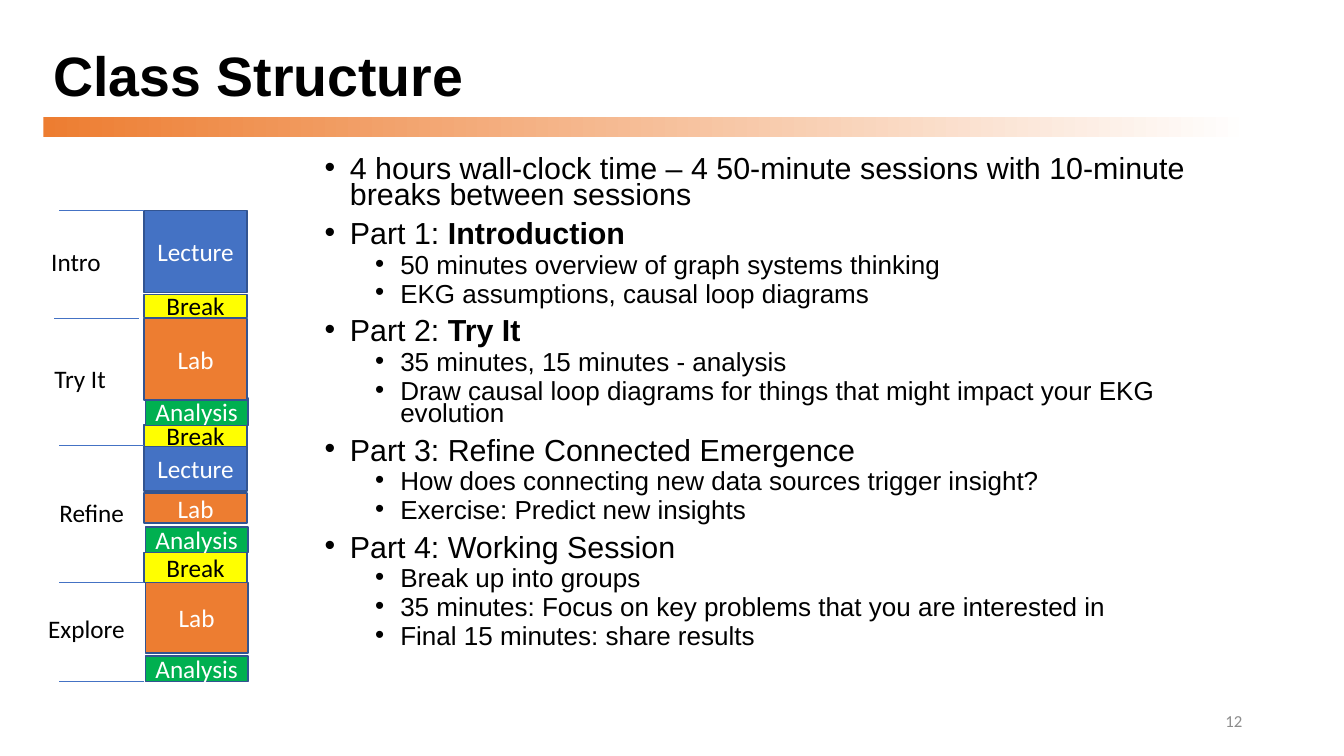
from pptx import Presentation
from pptx.dml.color import RGBColor
from pptx.enum.shapes import MSO_CONNECTOR as CONNECTOR, MSO_SHAPE as SHAPE
from pptx.enum.text import MSO_ANCHOR as ANCHOR, MSO_AUTO_SIZE as AUTO_SIZE, PP_ALIGN as ALIGN
from pptx.oxml.ns import qn
from pptx.util import Inches, Pt
from lxml.etree import SubElement


def color(hex_code):
    return RGBColor.from_string(hex_code)


def add_run(para, text, size, font="Calibri", hex_code="000000", bold=False):
    run = para.add_run()
    run.text = text
    run.font.size = Pt(size)
    run.font.name = font
    run.font.bold = bold
    run.font.color.rgb = color(hex_code)


deck = Presentation()
deck.slide_width = Inches(13.33)
deck.slide_height = Inches(7.5)
slide = deck.slides.add_slide(deck.slide_layouts[1])
shapes = slide.shapes

# Title and the fading bar below it
title = shapes.title
title.left, title.top = Inches(0.43), Inches(0.4)
title.width, title.height = Inches(11.98), Inches(0.76)
title.text_frame.auto_size = AUTO_SIZE.NONE
title.text_frame.vertical_anchor = ANCHOR.MIDDLE
para = title.text_frame.paragraphs[0]
para.alignment = ALIGN.LEFT
para.line_spacing = 0.9
add_run(para, "Class Structure", 39.6, "Arial", bold=True)

bar = shapes.add_shape(SHAPE.RECTANGLE, Inches(0.43), Inches(1.16), Inches(11.98), Inches(0.2))
bar.shadow.inherit = False
bar.line.fill.background()
bar.fill.gradient()
bar.fill.gradient_angle = 0
for stop, hex_code in zip(bar.fill.gradient_stops, ("ED7D31", "FFFFFF")):
    stop.color.rgb = color(hex_code)

# Outline: level, plain text, bold text
outline = [
    (0, "4 hours wall-clock time – 4 50-minute sessions with 10-minute breaks between sessions", ""),
    (0, "Part 1: ", "Introduction"),
    (1, "50 minutes overview of graph systems thinking", ""),
    (1, "EKG assumptions, causal loop diagrams", ""),
    (0, "Part 2: ", "Try It"),
    (1, "35 minutes, 15 minutes - analysis", ""),
    (1, "Draw causal loop diagrams for things that might impact your EKG evolution", ""),
    (0, "Part 3: Refine Connected Emergence", ""),
    (1, "How does connecting new data sources trigger insight?", ""),
    (1, "Exercise: Predict new insights", ""),
    (0, "Part 4: Working Session", ""),
    (1, "Break up into groups", ""),
    (1, "35 minutes: Focus on key problems that you are interested in", ""),
    (1, "Final 15 minutes: share results", ""),
]
body = slide.placeholders[1]
body.left, body.top = Inches(3.12), Inches(1.53)
body.width, body.height = Inches(9.3), Inches(5.23)
frame = body.text_frame
frame.auto_size = AUTO_SIZE.NONE
for index, (level, plain, strong) in enumerate(outline):
    para = frame.add_paragraph() if index else frame.paragraphs[0]
    para.level = level
    para.line_spacing = 0.7
    para.space_before = Pt((10, 5)[level])
    props = para._p.get_or_add_pPr()
    props.set("marL", str(Inches(0.25 + 0.5 * level)))
    props.set("indent", str(Inches(-0.25)))
    SubElement(props, qn("a:buFont")).set("typeface", "Arial")
    SubElement(props, qn("a:buChar")).set("char", "•")
    size = (21.7, 18.6)[level]
    add_run(para, plain, size, "Arial")
    if strong:
        add_run(para, strong, size, "Arial", bold=True)

# Schedule column: kind, left, top, height
styles = {
    "Lecture": ("4472C4", "FFFFFF"),
    "Break": ("FFFF00", "000000"),
    "Lab": ("ED7D31", "FFFFFF"),
    "Analysis": ("00B050", "FFFFFF"),
}
blocks = [
    ("Lecture", 1.43, 2.09, 0.81),
    ("Break", 1.43, 2.92, 0.23),
    ("Break", 1.43, 4.21, 0.22),
    ("Break", 1.43, 5.48, 0.3),
    ("Analysis", 1.44, 3.95, 0.27),
    ("Lab", 1.43, 3.16, 0.81),
    ("Lecture", 1.43, 4.43, 0.44),
    ("Lab", 1.43, 4.89, 0.3),
    ("Analysis", 1.44, 5.23, 0.25),
    ("Lab", 1.44, 5.78, 0.7),
    ("Analysis", 1.44, 6.51, 0.25),
]
for kind, left, top, height in blocks:
    fill, ink = styles[kind]
    block = shapes.add_shape(SHAPE.RECTANGLE, Inches(left), Inches(top), Inches(1.02), Inches(height))
    block.shadow.inherit = False
    block.fill.solid()
    block.fill.fore_color.rgb = color(fill)
    block.line.color.rgb = color("325491")
    block.line.width = Pt(1)
    frame = block.text_frame
    frame.margin_left = frame.margin_right = 0
    frame.vertical_anchor = ANCHOR.MIDDLE
    para = frame.paragraphs[0]
    para.alignment = ALIGN.CENTER
    add_run(para, kind, 18, hex_code=ink)

# Lines between the sessions
for left, top in [(0.59, 2.09), (0.54, 3.16), (0.59, 4.42), (0.59, 5.78), (0.59, 6.76)]:
    divider = shapes.add_connector(
        CONNECTOR.STRAIGHT, Inches(left), Inches(top), Inches(left + 0.84), Inches(top))
    divider.line.color.rgb = color("4472C4")
    divider.line.width = Pt(0.5)
    SubElement(divider._element.spPr, qn("a:effectLst"))

# Session names
sessions = [
    ("Intro", 0.41, 2.39, 0.7),
    ("Try It", 0.44, 3.56, 0.72),
    ("Refine", 0.49, 4.88, 0.85),
    ("Explore", 0.38, 6.04, 0.97),
]
for name, left, top, width in sessions:
    label = shapes.add_textbox(Inches(left), Inches(top), Inches(width), Inches(0.4))
    label.text_frame.word_wrap = False
    label.text_frame.auto_size = AUTO_SIZE.SHAPE_TO_FIT_TEXT
    add_run(label.text_frame.paragraphs[0], name, 18)

page_number = shapes.add_textbox(Inches(9.42), Inches(6.95), Inches(3), Inches(0.4))
page_number.text_frame.word_wrap = True
page_number.text_frame.vertical_anchor = ANCHOR.MIDDLE
para = page_number.text_frame.paragraphs[0]
para.alignment = ALIGN.RIGHT
add_run(para, "12", 12, hex_code="8C8C8C")

deck.save("out.pptx")
